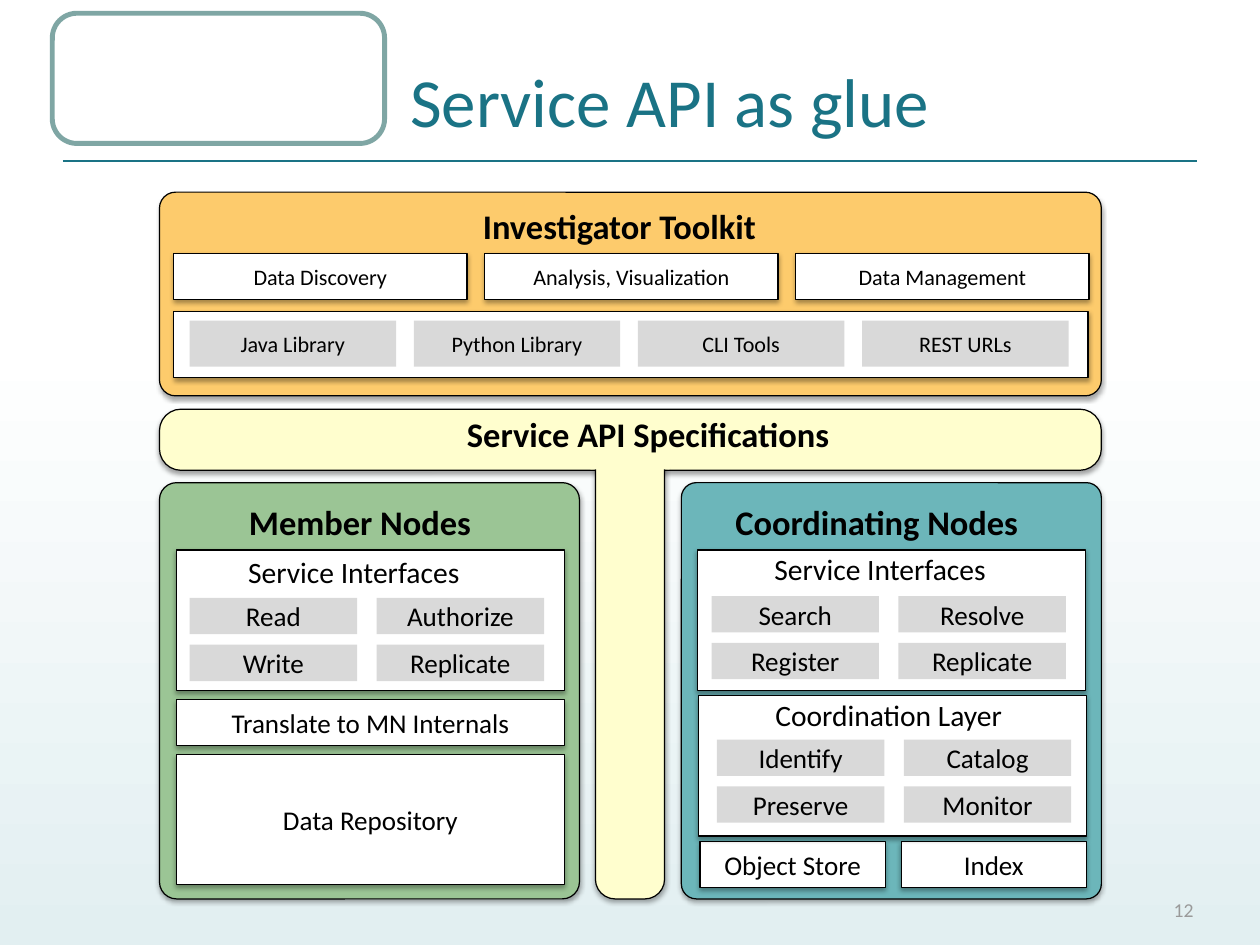
import dataclasses

import lxml.etree
import pptx
import pptx.dml.color
import pptx.enum.dml
import pptx.enum.shapes
import pptx.enum.text
import pptx.oxml
import pptx.oxml.ns
import pptx.util

CELL = pptx.util.Inches(1)
SLIDE_COLUMNS, SLIDE_ROWS = 14.22, 10.67
RECTANGLE = pptx.enum.shapes.MSO_SHAPE.RECTANGLE
ROUNDED = pptx.enum.shapes.MSO_SHAPE.ROUNDED_RECTANGLE
ALIGN = pptx.enum.text.PP_ALIGN
MIDDLE = pptx.enum.text.MSO_ANCHOR.MIDDLE
TOP = pptx.enum.text.MSO_ANCHOR.TOP


@dataclasses.dataclass(frozen=True)
class Theme:
    font: str = "Calibri"
    black: str = "000000"
    white: str = "FFFFFF"
    mist: str = "E2EFF1"
    teal: str = "1A7385"
    badge: str = "7FA6A4"
    muted: str = "9A9A9A"
    chip: str = "D9D9D9"
    toolkit: str = "FDCB6C"
    interface: str = "FFFECE"
    member: str = "9BC595"
    coordinating: str = "6CB6BA"
    title: int = 56
    heading: int = 28
    subheading: int = 24
    label: int = 22
    small: int = 18
    number: int = 16


THEME = Theme()


def rgb(color):
    return pptx.dml.color.RGBColor.from_string(color)


def cells(*counts):
    return [round(count * CELL) for count in counts]


def assign(target, values):
    for name, value in values.items():
        setattr(target, name, value)


def write(shape, text, size, color=THEME.black, bold=False, align=ALIGN.LEFT,
          anchor=MIDDLE, wrap=True, inset=(0.07, 0.07)):
    side, end = cells(*inset)
    frame = shape.text_frame
    frame.text = text
    assign(frame, dict(
        word_wrap=wrap, vertical_anchor=anchor,
        auto_size=pptx.enum.text.MSO_AUTO_SIZE.NONE,
        margin_left=side, margin_right=side, margin_top=end, margin_bottom=end))
    paragraph = frame.paragraphs[0]
    paragraph.alignment = align
    assign(paragraph.font, dict(name=THEME.font, size=pptx.util.Pt(size), bold=bold))
    paragraph.font.color.rgb = rgb(color)


def add_shadow(shape):
    """Cast a soft shadow straight down."""
    effects = shape._element.spPr.find(pptx.oxml.ns.qn("a:effectLst"))
    effects.append(pptx.oxml.parse_xml(
        f'<a:outerShdw {pptx.oxml.ns.nsdecls("a")} blurRad="{pptx.util.Pt(4)}" '
        f'dist="{pptx.util.Pt(2)}" dir="5400000" rotWithShape="0">'
        f'<a:srgbClr val="{THEME.black}"><a:alpha val="35000"/></a:srgbClr>'
        '</a:outerShdw>'))


def add_block(slide, frame, fill, line=None, width=1, radius=None, shadow=False):
    kind = RECTANGLE if radius is None else ROUNDED
    shape = slide.shapes.add_shape(kind, *cells(*frame))
    if radius is not None:
        shape.adjustments[0] = radius
    shape.fill.solid()
    shape.fill.fore_color.rgb = rgb(fill)
    if line:
        shape.line.color.rgb = rgb(line)
        shape.line.width = pptx.util.Pt(width)
    else:
        shape.line.fill.background()
    shape.shadow.inherit = False
    if shadow:
        add_shadow(shape)
    return shape


def add_panel(slide, frame, fill, radius):
    add_block(slide, frame, fill, THEME.black, radius=radius, shadow=True)


def add_card(slide, frame, text="", size=THEME.label):
    shape = add_block(slide, frame, THEME.white, THEME.black, shadow=True)
    if text:
        write(shape, text, size, align=ALIGN.CENTER, inset=(0.07, 0))


def add_chip(slide, frame, text, size=THEME.label):
    shape = add_block(slide, frame, THEME.chip)
    write(shape, text, size, align=ALIGN.CENTER, inset=(0.07, 0))


def add_label(slide, frame, text, size=THEME.heading, bold=True):
    box = slide.shapes.add_textbox(*cells(*frame))
    write(box, text, size, bold=bold, anchor=TOP, wrap=False)


def add_service_group(slide, left, top, title, title_offset, chip_offset, names):
    """Add a card with a title and chips in two columns."""
    add_card(slide, (left, top, 4.38, 1.59))
    add_label(slide, (left + title_offset[0], top + title_offset[1], 2.6, 0.55),
              title, THEME.subheading, bold=False)
    for index, name in enumerate(names):
        row, column = divmod(index, 2)
        add_chip(slide, (left + chip_offset[0] + 2.11 * column,
                         top + chip_offset[1] + 0.53 * row, 1.89, 0.41), name)


def add_background(slide):
    fill = slide.background.fill
    fill.gradient()
    fill.gradient_angle = 270
    stops = ((0.36, THEME.white), (1, THEME.mist))
    for stop, (position, color) in zip(fill.gradient_stops, stops):
        stop.position = position
        stop.color.rgb = rgb(color)


def add_header(slide):
    rule = slide.shapes.add_connector(
        pptx.enum.shapes.MSO_CONNECTOR.STRAIGHT, *cells(0.71, 1.82, 13.51, 1.82))
    rule.line.color.rgb = rgb(THEME.teal)
    rule.line.width = pptx.util.Pt(2)
    lxml.etree.SubElement(rule._element.spPr, pptx.oxml.ns.qn("a:effectLst"))
    title = slide.shapes.title
    assign(title, dict(zip(("left", "top", "width", "height"),
                           cells(4.59, 0.43, 8.93, 1.39))))
    write(title, "Service API as glue", THEME.title, THEME.teal, inset=(0.04, 0.04))
    add_block(slide, (0.59, 0.15, 3.75, 1.47), THEME.white, THEME.badge, 4, 0.189)


def add_slide_number(slide):
    box = slide.shapes.add_textbox(*cells(13.19, 10.1, 0.32, 0.35))
    write(box, "12", THEME.number, THEME.muted, align=ALIGN.RIGHT, wrap=False,
          inset=(0.04, 0.04))


def add_specifications(slide):
    """Add the T-shaped interface, hiding the outline where its arms meet."""
    add_panel(slide, (1.8, 4.62, 10.63, 0.69), THEME.interface, 0.352)
    add_panel(slide, (6.72, 4.86, 0.78, 5.29), THEME.interface, 0.285)
    add_block(slide, (6.65, 4.69, 0.92, 0.61), THEME.interface, radius=0.039)
    add_label(slide, (5.2, 4.59, 4.25, 0.63), "Service API Specifications")


def add_toolkit(slide):
    add_panel(slide, (1.8, 2.17, 10.63, 2.3), THEME.toolkit, 0.079)
    add_label(slide, (5.38, 2.24, 3.24, 0.63), "Investigator Toolkit")
    uses = ("Data Discovery", "Analysis, Visualization", "Data Management")
    for index, use in enumerate(uses):
        add_card(slide, (1.96 + 3.51 * index, 2.86, 3.31, 0.52), use, THEME.small)
    add_card(slide, (1.96, 3.52, 10.32, 0.74))
    tools = ("Java Library", "Python Library", "CLI Tools", "REST URLs")
    for index, tool in enumerate(tools):
        add_chip(slide, (2.14 + 2.53 * index, 3.62, 2.33, 0.52), tool, THEME.small)


def add_member_nodes(slide):
    add_panel(slide, (1.8, 5.45, 4.74, 4.7), THEME.member, 0.041)
    add_label(slide, (2.74, 5.59, 2.66, 0.63), "Member Nodes")
    add_card(slide, (1.99, 7.9, 4.38, 0.52), "Translate to MN Internals")
    add_card(slide, (1.99, 8.52, 4.38, 1.47), "Data Repository")
    add_service_group(slide, 1.99, 6.21, "Service Interfaces", (0.74, -0.03),
                      (0.15, 0.54), ("Read", "Authorize", "Write", "Replicate"))


def add_coordinating_nodes(slide):
    add_panel(slide, (7.69, 5.45, 4.74, 4.7), THEME.coordinating, 0.036)
    add_label(slide, (8.23, 5.59, 3.35, 0.63), "Coordinating Nodes")
    for index, store in enumerate(("Object Store", "Index")):
        add_card(slide, (7.9 + 2.27 * index, 9.5, 2.09, 0.52), store)
    add_service_group(slide, 7.87, 6.21, "Service Interfaces", (0.8, -0.06),
                      (0.16, 0.52), ("Search", "Resolve", "Register", "Replicate"))
    add_service_group(slide, 7.88, 7.85, "Coordination Layer", (0.8, -0.05),
                      (0.21, 0.5), ("Identify", "Catalog", "Preserve", "Monitor"))


def main():
    presentation = pptx.Presentation()
    width, height = cells(SLIDE_COLUMNS, SLIDE_ROWS)
    assign(presentation, dict(slide_width=width, slide_height=height))
    slide = presentation.slides.add_slide(
        presentation.slide_layouts.get_by_name("Title Only"))
    for add_part in (add_background, add_header, add_slide_number, add_specifications,
                     add_toolkit, add_member_nodes, add_coordinating_nodes):
        add_part(slide)
    presentation.save("out.pptx")


if __name__ == "__main__":
    main()
